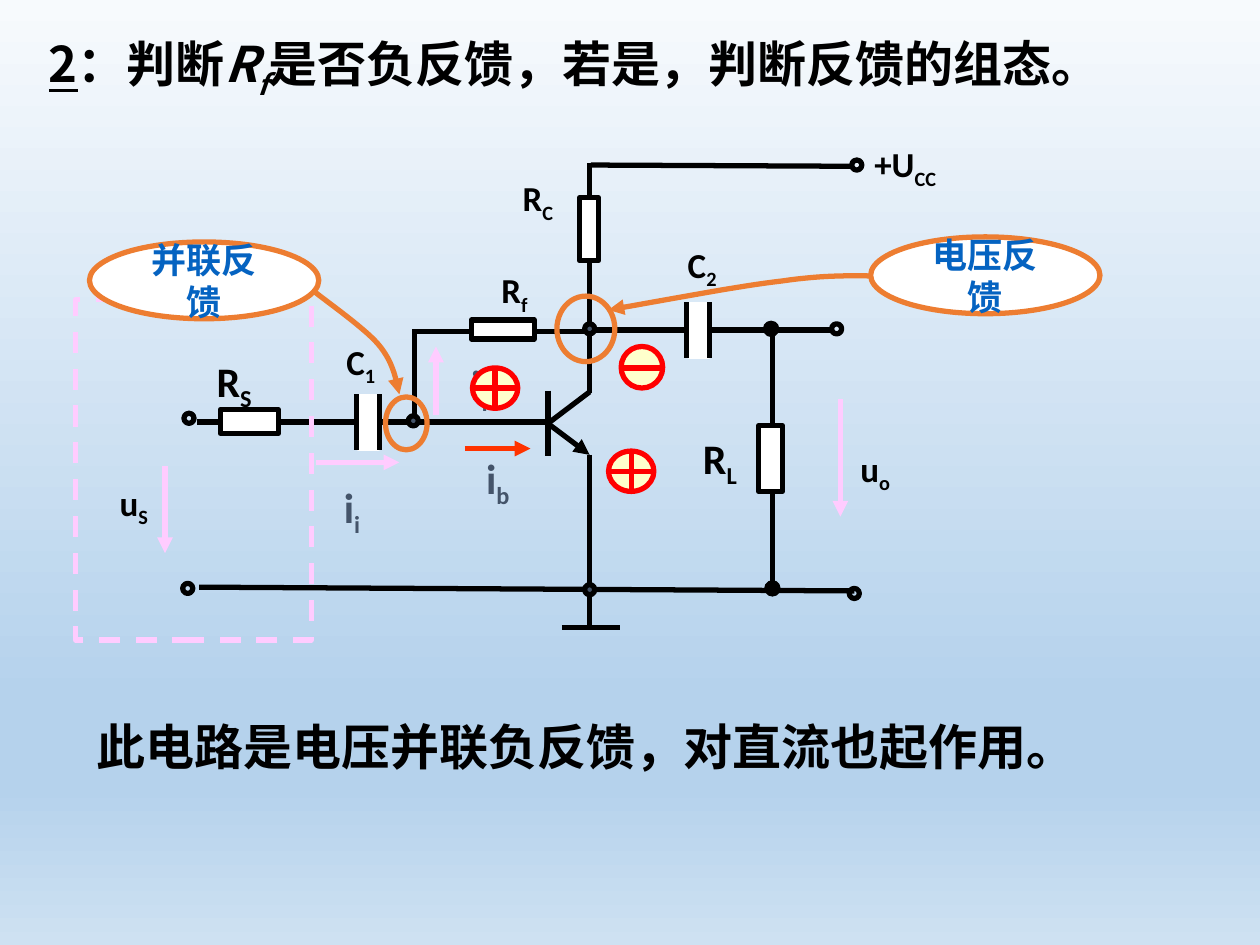
from lxml import etree
from pptx import Presentation
from pptx import util as u
from pptx.dml.color import RGBColor
from pptx.enum import dml, shapes, text
from pptx.oxml.ns import qn

BLACK = RGBColor(0, 0, 0)
WHITE = RGBColor(255, 255, 255)
SLATE = RGBColor(0x44, 0x54, 0x6A)
PINK = RGBColor(0xFF, 0xCC, 0xFF)
ORANGE = RGBColor(0xED, 0x7D, 0x31)
SCARLET = RGBColor(0xFF, 0x33, 0)
RED = RGBColor(0xFF, 0, 0)
CREAM = RGBColor(0xFF, 0xFF, 0xCC)
BLUE = RGBColor(0x05, 0x63, 0xC1)
LATIN, HAN = "Calibri", "Noto Sans CJK SC"
SKY = [(0, "F7FAFD"), (74, "B5D2EC"), (83, "B5D2EC"), (100, "CEE1F2")]

# Content: (text, style) runs for the two sentences
TITLE = [("2", "underline"), ("：判断", ""), ("R", "italic"), ("f", "italic sub"),
         ("是否负反馈，若是，判断反馈的组态。", "")]
CONCLUSION = [("此电路是电压并联负反馈，对直流也起作用。", "")]

# Circuit: wires are (x1, y1, x2, y2)
WIRES = [
    (1.58, 4.66, 6.78, 4.69), (4.67, 2.63, 3.27, 2.63), (4.35, 3.1, 4.35, 3.62),
    (4.35, 3.36, 4.68, 3.11), (4.68, 3.61, 4.68, 4.99), (4.68, 3.12, 4.68, 1.29),
    (4.35, 3.35, 1.56, 3.35), (3.29, 3.32, 3.29, 2.65), (4.68, 2.62, 6.62, 2.62),
    (4.69, 1.31, 6.77, 1.32), (4.46, 4.98, 4.92, 4.98), (6.13, 2.61, 6.13, 4.68),
]
ARROWS = [
    (4.36, 3.37, 4.68, 3.61, BLACK),    # emitter
    (1.31, 3.7, 1.31, 4.39, PINK),      # source voltage
    (6.67, 3.17, 6.67, 4.1, PINK),      # output voltage
    (2.51, 3.67, 3.17, 3.67, PINK),     # input current
    (3.69, 3.56, 4.21, 3.56, SCARLET),  # base current
    (3.46, 3.29, 3.46, 2.75, PINK),     # feedback current
]
NODES = [(4.68, 2.61), (3.28, 3.34), (4.68, 4.68)]
TERMINALS = [(6.78, 4.71), (6.64, 2.61), (6.8, 1.31), (1.5, 3.32), (1.49, 4.67)]
OUTPUT_DOTS = [(6.12, 2.61), (6.13, 4.67)]
RESISTORS = [(4.6, 1.57, 0.15, 0.5), (3.74, 2.54, 0.5, 0.15),
             (1.75, 3.25, 0.46, 0.19), (6.02, 3.38, 0.19, 0.52)]
CAPACITORS = [(2.92, 3.35), (5.54, 2.62)]
# Labels: left, top, letter, subscript, size, colour
LABELS = [
    (6.84, 1.08, "+U", "CC", 20, BLACK), (4.05, 1.35, "R", "C", 20, BLACK),
    (5.36, 1.88, "C", "2", 20, BLACK), (2.65, 2.65, "C", "1", 20, BLACK),
    (3.88, 2.08, "R", "f", 20, BLACK), (0.85, 3.77, "u", "S", 20, BLACK),
    (6.73, 3.5, "u", "o", 20, BLACK), (3.76, 3.54, "i", "b", 24, SLATE),
    (3.64, 2.8, "i", "f", 24, SLATE), (2.63, 3.77, "i", "i", 24, SLATE),
    (1.62, 2.77, "R", "S", 24, BLACK), (5.48, 3.38, "R", "L", 24, BLACK),
]
# Callouts: text, bubble position, ring, two joined Bezier curves from bubble to ring
CALLOUTS = [
    ("电压反馈", (6.91, 1.88), (4.42, 2.35, 0.46, 0.52),
     [(6.9, 2.19), (6.78, 2.19), (6.55, 2.18), (6.21, 2.23),
      (5.86, 2.27), (5.35, 2.37), (4.83, 2.46)]),
    ("并联反馈", (0.71, 1.92), (3.06, 3.15, 0.33, 0.42),
     [(2.44, 2.27), (2.53, 2.35), (2.88, 2.59), (3, 2.73),
      (3.12, 2.87), (3.14, 3), (3.17, 3.13)]),
]
PLUS_SIGNS = [(3.75, 2.92), (4.83, 3.58)]

deck = Presentation()
deck.slide_width, deck.slide_height = u.Inches(10), u.Inches(7.5)
page = deck.slides.add_slide(deck.slide_layouts[6])


def add_arrowhead(shape):
    etree.SubElement(shape.line._get_or_add_ln(), qn("a:tailEnd"), type="triangle")


def add_line(x1, y1, x2, y2, color=BLACK, arrow=False):
    line = page.shapes.add_connector(shapes.MSO_CONNECTOR.STRAIGHT,
                                     *map(u.Inches, (x1, y1, x2, y2)))
    line.line.color.rgb, line.line.width = color, u.Pt(3)
    if arrow:
        add_arrowhead(line)
    etree.SubElement(line._element.spPr, qn("a:effectLst"))


def paint(shape, fill, color, width=3):
    shape.shadow.inherit = False
    if fill is None:
        shape.fill.background()
    else:
        shape.fill.solid()
        shape.fill.fore_color.rgb = fill
    shape.line.color.rgb, shape.line.width = color, u.Pt(width)
    return shape


def add_shape(kind, left, top, width, height, fill, color, weight=3):
    box = page.shapes.add_shape(kind, *map(u.Inches, (left, top, width, height)))
    return paint(box, fill, color, weight)


def add_dot(x, y, size, fill, weight=3):
    add_shape(OVAL, x - size / 2, y - size / 2, size, size, fill, BLACK, weight)


def style_font(para, name, size, color):
    font = para.font
    font.name, font.size, font.bold = name, u.Pt(size), True
    font.color.rgb = color


def add_text(left, top, width, height, runs, name, size, color):
    box = page.shapes.add_textbox(*map(u.Inches, (left, top, width, height)))
    box.text_frame.word_wrap = True
    para = box.text_frame.paragraphs[0]
    style_font(para, name, size, color)
    for words, style in runs:
        span = para.add_run()
        span.text = words
        if "underline" in style:
            span.font.underline = True
        if "italic" in style:
            span.font.italic = True
        if "sub" in style:
            span.font._element.set("baseline", "-25000")
        if name == HAN:
            etree.SubElement(span.font._element, qn("a:ea"), typeface=HAN)


def bezier(points, steps=16):
    for i in range(steps + 1):
        t = i / steps
        weights = ((1 - t) ** 3, 3 * t * (1 - t) ** 2, 3 * t * t * (1 - t), t ** 3)
        yield tuple(u.Inches(sum(w * p[axis] for w, p in zip(weights, points)))
                    for axis in (0, 1))


OVAL, RECT = shapes.MSO_SHAPE.OVAL, shapes.MSO_SHAPE.RECTANGLE

# Background gradient
back = page.background.fill
back.gradient()
back.gradient_angle = 270
stops = page._element.find(".//" + qn("a:gsLst"))
for stop in list(stops):
    stops.remove(stop)
for percent, tone in SKY:
    stop = etree.SubElement(stops, qn("a:gs"), pos=str(percent * 1000))
    etree.SubElement(stop, qn("a:srgbClr"), val=tone)

# Circuit
for wire in WIRES:
    add_line(*wire)
for x, y in NODES:
    add_dot(x, y, 0.08, SLATE)
for x, y in TERMINALS:
    add_dot(x, y, 0.08, None)
for x, y in OUTPUT_DOTS:
    add_dot(x, y, 0.12, BLACK, 0.75)
for place in RESISTORS:
    add_shape(RECT, *place, WHITE, BLACK)
for x, y in CAPACITORS:
    add_shape(RECT, x - 0.07, y - 0.2, 0.15, 0.41, WHITE, WHITE)
    for plate in (x - 0.09, x + 0.09):
        add_line(plate, y - 0.22, plate, y + 0.22)
for *ends, tint in ARROWS:
    add_line(*ends, tint, arrow=True)
for left, top, letter, index, size, tint in LABELS:
    add_text(left, top, 1.02, size / 48, [(letter, ""), (index, "sub")], LATIN, size, tint)
source = add_shape(RECT, 0.6, 2.38, 1.87, 2.7, None, PINK)
source.line.dash_style = dml.MSO_LINE.DASH

# Sentences
add_text(0.29, 0.22, 9.36, 0.57, TITLE, HAN, 28, BLACK)
add_text(0.67, 5.64, 8.29, 0.57, CONCLUSION, HAN, 28, BLACK)

# Callouts
for words, (left, top), ring, curve in CALLOUTS:
    add_shape(OVAL, *ring, None, ORANGE)
    track = [*bezier(curve[:4]), *list(bezier(curve[3:]))[1:]]
    builder = page.shapes.build_freeform(*track[0])
    builder.add_line_segments(track[1:], close=False)
    add_arrowhead(paint(builder.convert_to_shape(), None, ORANGE))
    bubble = add_shape(OVAL, left, top, 1.82, 0.61, WHITE, ORANGE)
    frame = bubble.text_frame
    frame.word_wrap, frame.vertical_anchor = True, text.MSO_ANCHOR.MIDDLE
    para = frame.paragraphs[0]
    para.text, para.alignment = words, text.PP_ALIGN.CENTER
    style_font(para, LATIN, 20, BLUE)

# Polarity signs
for left, top in PLUS_SIGNS:
    add_shape(shapes.MSO_SHAPE.FLOWCHART_OR, left, top, 0.36, 0.32, CREAM, RED)
add_shape(OVAL, 4.93, 2.75, 0.33, 0.33, CREAM, RED)
add_line(4.92, 2.92, 5.26, 2.92, RED)

deck.save("out.pptx")
